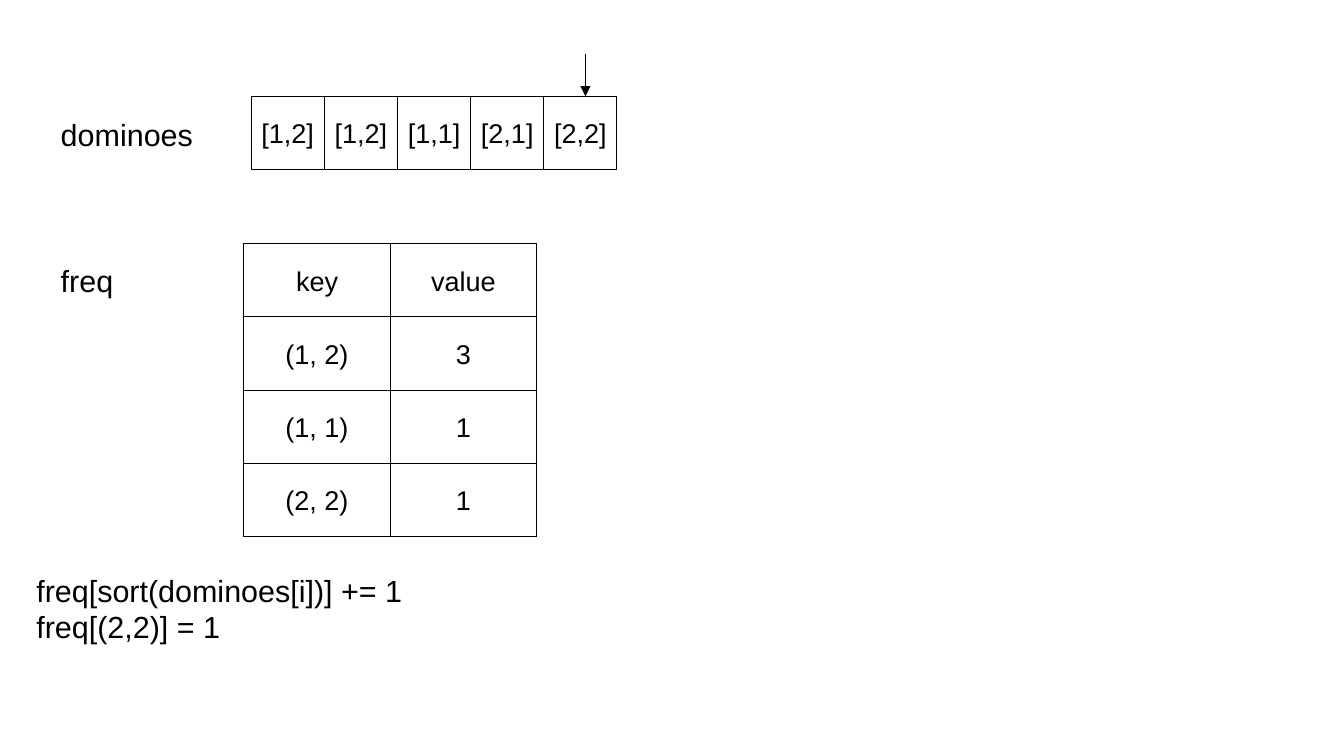
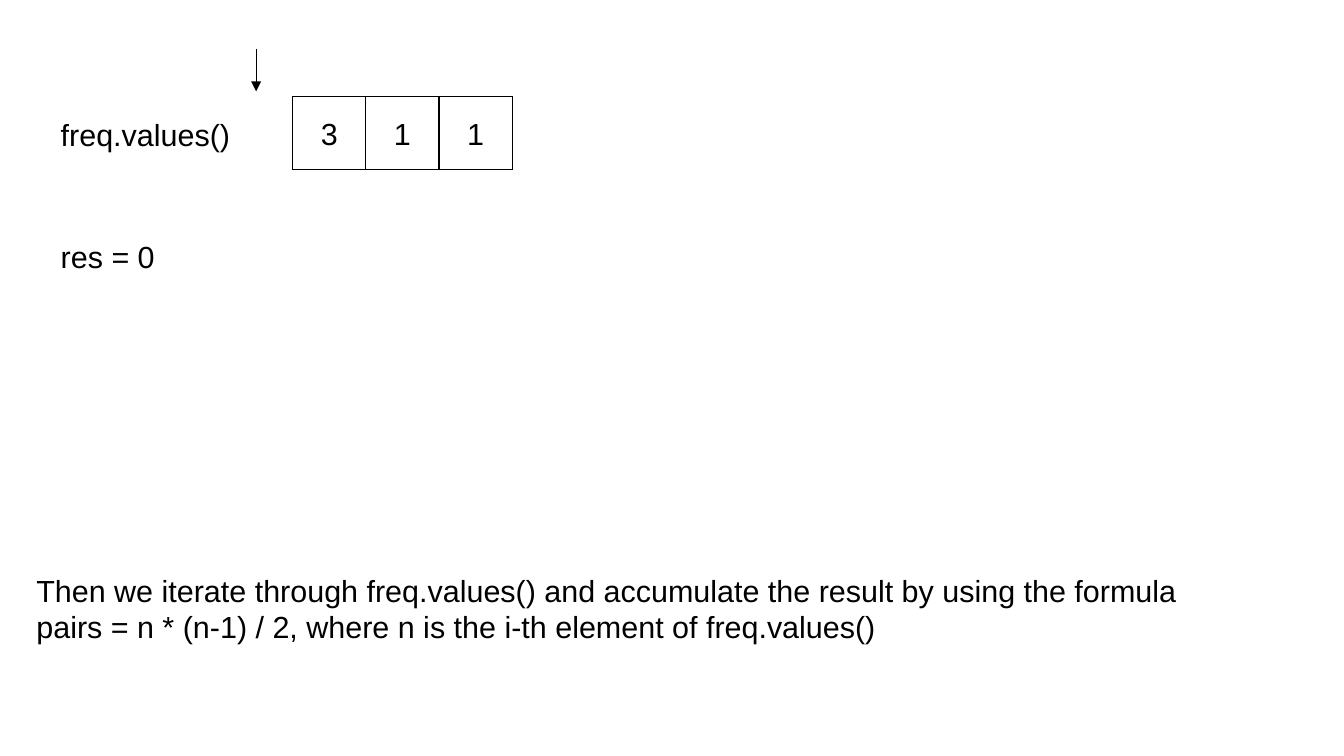
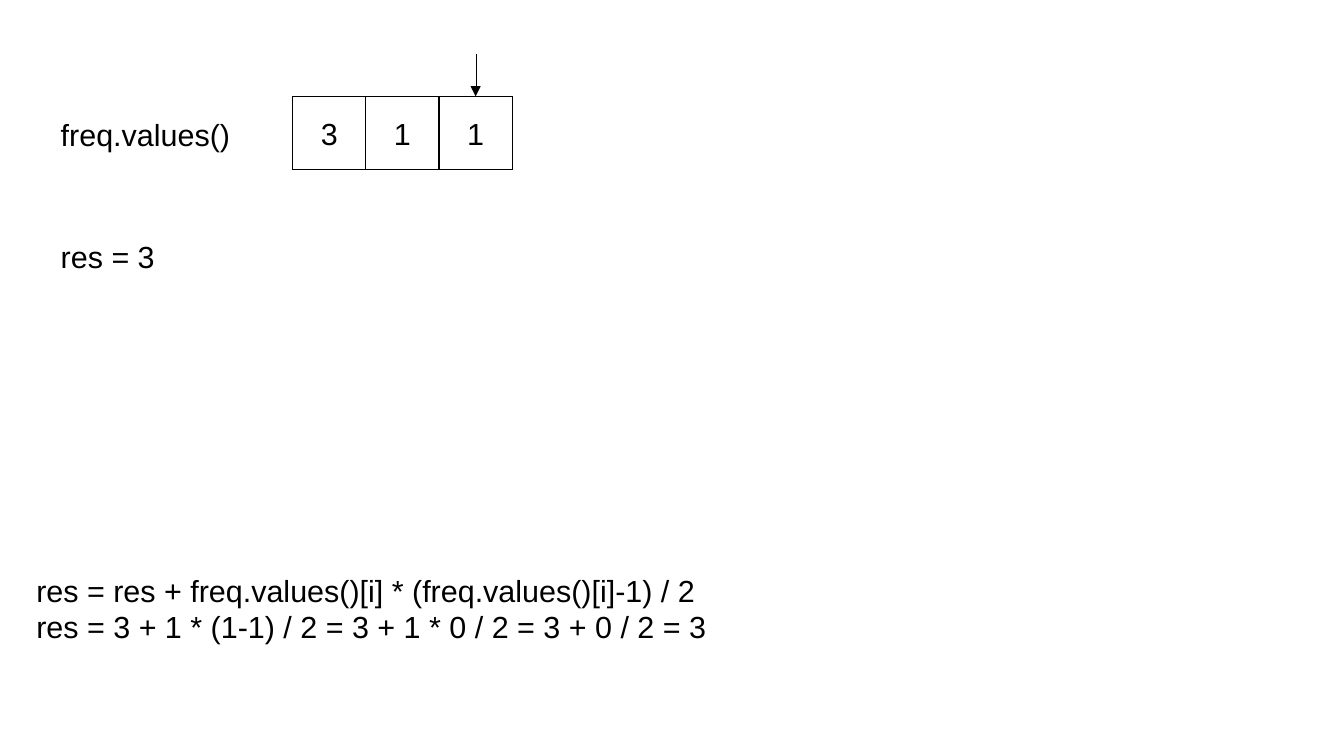
from lxml.etree import SubElement
from pptx import Presentation
from pptx.dml.color import RGBColor
from pptx.enum.shapes import MSO_CONNECTOR, MSO_SHAPE
from pptx.enum.text import MSO_ANCHOR, PP_ALIGN
from pptx.oxml.ns import qn
from pptx.util import Inches, Pt

BLACK = RGBColor(0x00, 0x00, 0x00)
WHITE = RGBColor(0xFF, 0xFF, 0xFF)
FONT = "Arial"
BODY_SIZE = 18
CELL_SIZE = 16
CELL = 0.6
ARRAY_TOP = 0.79
ARROW_LENGTH = 0.35
LABEL_LEFT = 0.4
NOTE_BOX = (0.2, 4.64, 10.6, 1.16)


def set_attributes(target, values):
    for name, value in values.items():
        setattr(target, name, value)


def write_lines(text_frame, lines, size, alignment=PP_ALIGN.LEFT):
    text_frame.text = "\n".join(lines)
    for paragraph in text_frame.paragraphs:
        paragraph.alignment = alignment
        for run in paragraph.runs:
            set_attributes(run.font, {"name": FONT, "size": Pt(size)})
            run.font.color.rgb = BLACK


def add_text(slide, box, *lines):
    shape = slide.shapes.add_textbox(*map(Inches, box))
    shape.text_frame.word_wrap = True
    write_lines(shape.text_frame, lines, BODY_SIZE)


def draw_thin_line(shape):
    shape.line.color.rgb = BLACK
    shape.element.remove(shape.element.find(qn("p:style")))


def add_cell(slide, box, value, size, fill):
    shape = slide.shapes.add_shape(MSO_SHAPE.RECTANGLE, *map(Inches, box))
    shape.shadow.inherit = False
    if fill is None:
        shape.fill.background()
    else:
        shape.fill.solid()
        shape.fill.fore_color.rgb = fill
    draw_thin_line(shape)
    set_attributes(shape.text_frame, {
        "word_wrap": False, "vertical_anchor": MSO_ANCHOR.MIDDLE})
    write_lines(shape.text_frame, [value], size, PP_ALIGN.CENTER)


def add_grid(slide, left, top, rows, size, fill=None, width=CELL):
    for row_index, row in enumerate(rows):
        for column_index, value in enumerate(row):
            box = (left + column_index * width, top + row_index * CELL,
                   width, CELL)
            add_cell(slide, box, value, size, fill)


def add_pointer(slide, x, tip):
    ends = (x, tip - ARROW_LENGTH, x, tip)
    connector = slide.shapes.add_connector(
        MSO_CONNECTOR.STRAIGHT, *map(Inches, ends))
    draw_thin_line(connector)
    properties = connector.element.spPr
    SubElement(properties.find(qn("a:ln")), qn("a:tailEnd"), type="triangle")
    SubElement(properties, qn("a:effectLst"))


def add_blank_slide(presentation):
    return presentation.slides.add_slide(presentation.slide_layouts[6])


def add_counting_slide(presentation):
    slide = add_blank_slide(presentation)
    add_text(slide, (LABEL_LEFT, 0.9, 1.3, 0.4), "dominoes")
    add_grid(slide, 2.06, ARRAY_TOP,
             [("[1,2]", "[1,2]", "[1,1]", "[2,1]", "[2,2]")],
             CELL_SIZE, WHITE)
    add_pointer(slide, 4.8, ARRAY_TOP)
    add_text(slide, (LABEL_LEFT, 2.1, 1.3, 0.4), "freq")
    frequencies = [
        ("key", "value"), ("(1, 2)", "3"), ("(1, 1)", "1"), ("(2, 2)", "1")]
    add_grid(slide, 2, 2, frequencies, CELL_SIZE, WHITE, 1.2)
    add_text(slide, NOTE_BOX, "freq[sort(dominoes[i])] += 1", "freq[(2,2)] = 1")


def add_result_slide(presentation, result, pointer, notes):
    slide = add_blank_slide(presentation)
    add_text(slide, (LABEL_LEFT, 0.9, 1.6, 0.4), "freq.values()")
    add_grid(slide, 2.4, ARRAY_TOP, [("3", "1", "1")], BODY_SIZE)
    add_pointer(slide, *pointer)
    add_text(slide, (LABEL_LEFT, 1.9, 1.3, 0.4), result)
    add_text(slide, NOTE_BOX, *notes)


def main():
    presentation = Presentation()
    set_attributes(presentation, {
        "slide_width": Inches(11.02), "slide_height": Inches(6.2)})
    add_counting_slide(presentation)
    add_result_slide(presentation, "res = 0", (2.1, 0.75), (
        "Then we iterate through freq.values() and accumulate the result "
        "by using the formula",
        "pairs = n * (n-1) / 2, where n is the i-th element of freq.values()"))
    add_result_slide(presentation, "res = 3", (3.9, ARRAY_TOP), (
        "res = res + freq.values()[i] * (freq.values()[i]-1) / 2",
        "res = 3 + 1 * (1-1) / 2 = 3 + 1 * 0 / 2 = 3 + 0 / 2 = 3"))
    presentation.save("out.pptx")


if __name__ == "__main__":
    main()
